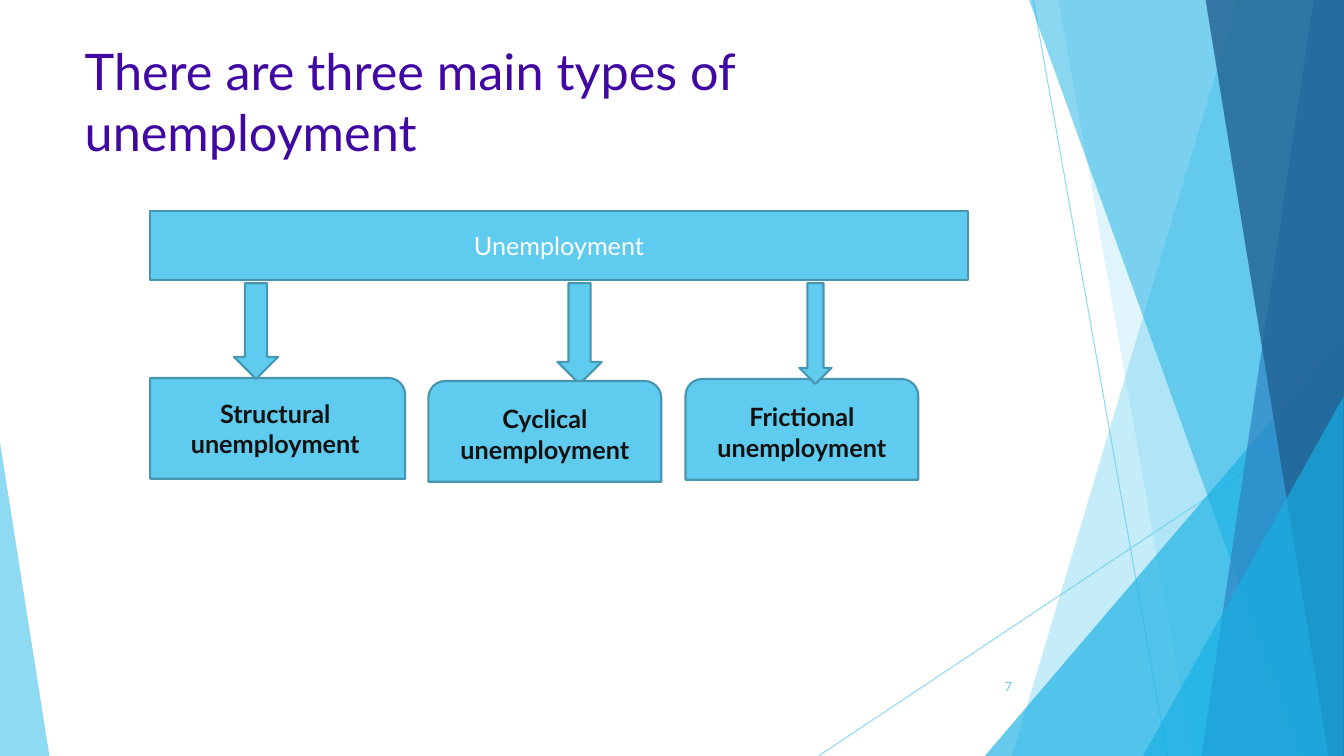
from dataclasses import dataclass
from typing import Any

from lxml import etree
from pptx import Presentation
from pptx import util as u
from pptx.dml.color import RGBColor
from pptx.enum import shapes, text
from pptx.oxml.ns import qn

# Grid: one column or row is a tenth of an inch
CELL = u.Inches(0.1)
COLUMNS, ROWS = 133.33, 75

WHITE = RGBColor(0xFF, 0xFF, 0xFF)
INK = RGBColor(0x11, 0x11, 0x11)
PURPLE = RGBColor(0x40, 0x07, 0xA2)
SKY = RGBColor(0x5F, 0xCB, 0xEF)
CYAN = RGBColor(0x17, 0xB0, 0xE4)
BLUE = RGBColor(0x2E, 0x83, 0xC3)
NAVY = RGBColor(0x22, 0x62, 0x92)
OUTLINE = RGBColor(0x46, 0x96, 0xB1)

FONT = "Lato"
SHAPE = shapes.MSO_SHAPE
ALIGN = text.PP_ALIGN
ANCHOR = text.MSO_ANCHOR


@dataclass(frozen=True)
class Box:
    left: float
    top: float
    width: float
    height: float

    def emu(self) -> list[int]:
        return [cells(n) for n in (self.left, self.top, self.width, self.height)]


@dataclass(frozen=True)
class Ray:
    start: tuple[float, float]
    end: tuple[float, float]


@dataclass(frozen=True)
class Band:
    """Panel reaching the right edge, with a slanted left side."""
    top_left: float
    bottom_left: float
    color: RGBColor
    opacity: int


@dataclass(frozen=True)
class Wedge:
    """Right triangle standing on the bottom edge."""
    left: float
    top: float
    width: float
    apex: int
    color: RGBColor
    opacity: int


@dataclass(frozen=True)
class Block:
    kind: Any
    box: Box
    label: str = ""
    color: RGBColor = INK
    bold: bool = True


RAYS = [Ray((102.5, 0), (115.8, ROWS)), Ray((COLUMNS, 40.3), (81.2, ROWS))]

PANELS = [
    Band(122.8, 100.4, SKY, 36),
    Band(105, 118.3, SKY, 20),
    Wedge(97.7, 33.3, 35.6, 1, CYAN, 66),
    Band(102.1, 129.1, CYAN, 50),
    Band(130.3, 119.2, BLUE, 70),
    Band(119.6, 131.8, NAVY, 80),
    Wedge(113.4, 39.3, 19.9, 1, CYAN, 66),
    Wedge(0, 43.9, 4.9, 0, SKY, 70),
]

ARROW_TOP = 28.1
BLOCKS = [
    Block(SHAPE.RECTANGLE, Box(14.9, 20.9, 81.1, 6.9), "Unemployment", WHITE, False),
    Block(SHAPE.DOWN_ARROW, Box(55.3, ARROW_TOP, 4.4, 10)),
    Block(SHAPE.ROUND_1_RECTANGLE, Box(14.9, 37.5, 25.3, 10), "Structural unemployment"),
    Block(SHAPE.ROUND_2_SAME_RECTANGLE, Box(42.5, 37.8, 23.1, 10), "Cyclical unemployment"),
    Block(SHAPE.ROUND_2_SAME_RECTANGLE, Box(68, 37.6, 23.1, 10), "Frictional unemployment"),
    Block(SHAPE.DOWN_ARROW, Box(79.3, ARROW_TOP, 3.2, 10)),
    Block(SHAPE.DOWN_ARROW, Box(23.2, ARROW_TOP, 4.4, 9.5)),
]


def cells(count: float) -> int:
    return round(count * CELL)


def set_opacity(shape: Any, percent: int) -> None:
    for color in shape.element.spPr.iter(qn("a:srgbClr")):
        etree.SubElement(color, qn("a:alpha"), val=str(percent * 1000))


def write(shape: Any, words: str, size: int, color: RGBColor, align: Any,
          anchor: Any, bold: bool = False) -> None:
    frame = shape.text_frame
    frame.word_wrap = True
    frame.auto_size = text.MSO_AUTO_SIZE.NONE
    frame.vertical_anchor = anchor
    paragraph = frame.paragraphs[0]
    paragraph.alignment = align
    run = paragraph.add_run()
    run.text = words
    for name, value in {"name": FONT, "size": u.Pt(size), "bold": bold}.items():
        setattr(run.font, name, value)
    run.font.color.rgb = color


def draw_ray(slide: Any, ray: Ray) -> None:
    ends = [cells(n) for n in (*ray.start, *ray.end)]
    line = slide.shapes.add_connector(shapes.MSO_CONNECTOR.STRAIGHT, *ends)
    line.line.color.rgb = SKY
    line.line.width = u.Pt(0.75)
    set_opacity(line, 70)
    etree.SubElement(line.element.spPr, qn("a:effectLst"))


def draw_panel(slide: Any, panel: Band | Wedge) -> None:
    if isinstance(panel, Band):
        corners = [(COLUMNS, 0), (COLUMNS, ROWS), (panel.bottom_left, ROWS)]
        builder = slide.shapes.build_freeform(cells(panel.top_left), 0)
        builder.add_line_segments([(cells(x), cells(y)) for x, y in corners])
        shape = builder.convert_to_shape()
    else:
        box = Box(panel.left, panel.top, panel.width, ROWS - panel.top)
        shape = slide.shapes.add_shape(SHAPE.ISOSCELES_TRIANGLE, *box.emu())
        shape.adjustments[0] = panel.apex
    shape.shadow.inherit = False
    shape.fill.solid()
    shape.fill.fore_color.rgb = panel.color
    shape.line.fill.background()
    set_opacity(shape, panel.opacity)


def draw_block(slide: Any, block: Block) -> None:
    shape = slide.shapes.add_shape(block.kind, *block.box.emu())
    shape.shadow.inherit = False
    shape.fill.solid()
    shape.fill.fore_color.rgb = SKY
    shape.line.color.rgb = OUTLINE
    shape.line.width = u.Pt(1.5)
    if block.label:
        write(shape, block.label, 18, block.color, ALIGN.CENTER, ANCHOR.MIDDLE, block.bold)


def main() -> None:
    presentation = Presentation()
    presentation.slide_width = cells(COLUMNS)
    presentation.slide_height = cells(ROWS)
    slide = presentation.slides.add_slide(presentation.slide_layouts[5])

    # Slanted background panels
    for ray in RAYS:
        draw_ray(slide, ray)
    for panel in PANELS:
        draw_panel(slide, panel)

    # Title
    title = slide.shapes.title
    title.left, title.top, title.width, title.height = Box(7.4, 3.5, 94, 14.4).emu()
    write(title, "There are three main types of unemployment", 36, PURPLE,
          ALIGN.LEFT, ANCHOR.TOP)

    # Diagram
    for block in BLOCKS:
        draw_block(slide, block)

    # Slide number
    number = slide.shapes.add_textbox(*Box(93.9, 66.1, 7.5, 4).emu())
    write(number, "7", 9, SKY, ALIGN.RIGHT, ANCHOR.MIDDLE)

    presentation.save("out.pptx")


if __name__ == "__main__":
    main()
